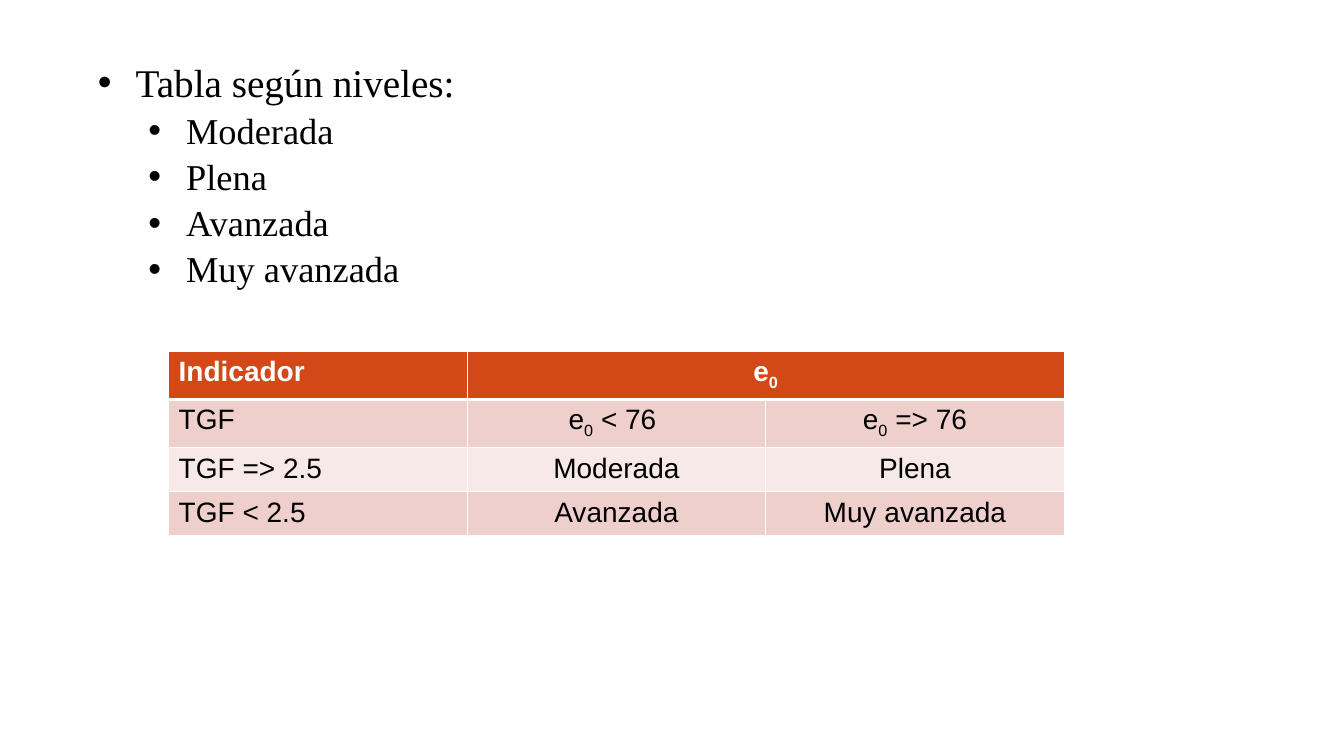
from lxml import etree
from pptx import Presentation
from pptx.dml.color import RGBColor as RGB
from pptx.enum.text import PP_ALIGN as Align
from pptx.oxml.ns import qn
from pptx.util import Cm, Pt

COLORS = {
    "head": "D34817",
    "dark": "EFCFCC",
    "light": "F7E9E8",
    "white": "FFFFFF",
    "black": "000000",
}


def style(run, font, size, color, bold=False):
    run.font.name = font
    run.font.size = Pt(size)
    run.font.bold = bold
    run.font.color.rgb = RGB.from_string(COLORS[color])


def border(cell, side, width):
    props = cell._tc.get_or_add_tcPr()
    line = etree.SubElement(props, qn(f"a:ln{side}"), w=str(Pt(width)))
    fill = etree.SubElement(line, qn("a:solidFill"))
    etree.SubElement(fill, qn("a:srgbClr"), val=COLORS["white"])


deck = Presentation()
deck.slide_width, deck.slide_height = Cm(33.87), Cm(19.05)
slide = deck.slides.add_slide(deck.slide_layouts[6])

# Bulleted list of levels
levels = [
    ("Tabla según niveles:", 0),
    ("Moderada", 1),
    ("Plena", 1),
    ("Avanzada", 1),
    ("Muy avanzada", 1),
]
frame = slide.shapes.add_textbox(Cm(1.9), Cm(1.47), Cm(30.05), Cm(15.98)).text_frame
frame.word_wrap = True
frame.text = "\n".join(text for text, level in levels)
for para, (text, level) in zip(frame.paragraphs, levels):
    para.level = level
    para.line_spacing = 0.9
    para.space_before = Pt(5 if level else 10)
    style(para.runs[0], "Times New Roman", 26 if level else 28, "black")
    props = para._p.get_or_add_pPr()
    props.set("marL", str(Cm(1.27 * (level + 1))))
    props.set("indent", str(Cm(-0.95)))
    color = etree.SubElement(props, qn("a:buClr"))
    etree.SubElement(color, qn("a:srgbClr"), val=COLORS["black"])
    etree.SubElement(props, qn("a:buFont"), typeface="Arial")
    etree.SubElement(props, qn("a:buChar"), char="•")

# Table of indicators; "_" sets off a subscript
rows = [
    ["Indicador", "e_0", ""],
    ["TGF", "e_0_ < 76 ", "e_0_ => 76"],
    ["TGF => 2.5", "Moderada", "Plena"],
    ["TGF < 2.5", "Avanzada", "Muy avanzada"],
]
fills = ["head", "dark", "light", "dark"]
table = slide.shapes.add_table(4, 3, Cm(4.25), Cm(8.85), Cm(22.57), Cm(4.16)).table
table.cell(0, 1).merge(table.cell(0, 2))
for row, (texts, fill) in enumerate(zip(rows, fills)):
    head = row == 0
    table.rows[row].height = Cm(1.04)
    for col, text in enumerate(texts):
        cell = table.cell(row, col)
        for side in "LRTB":
            thick = (row, side) in [(0, "B"), (1, "T")]
            border(cell, side, 3 if thick else 1)
        cell.fill.solid()
        cell.fill.fore_color.rgb = RGB.from_string(COLORS[fill])
        if not text:
            continue
        para = cell.text_frame.paragraphs[0]
        para.alignment = Align.CENTER if col else Align.LEFT
        for part, piece in enumerate(text.split("_")):
            run = para.add_run()
            run.text = piece
            style(run, "Arial", 20, "white" if head else "black", head)
            if part == 1:
                run._r.get_or_add_rPr().set("baseline", "-25000")

deck.save("out.pptx")
